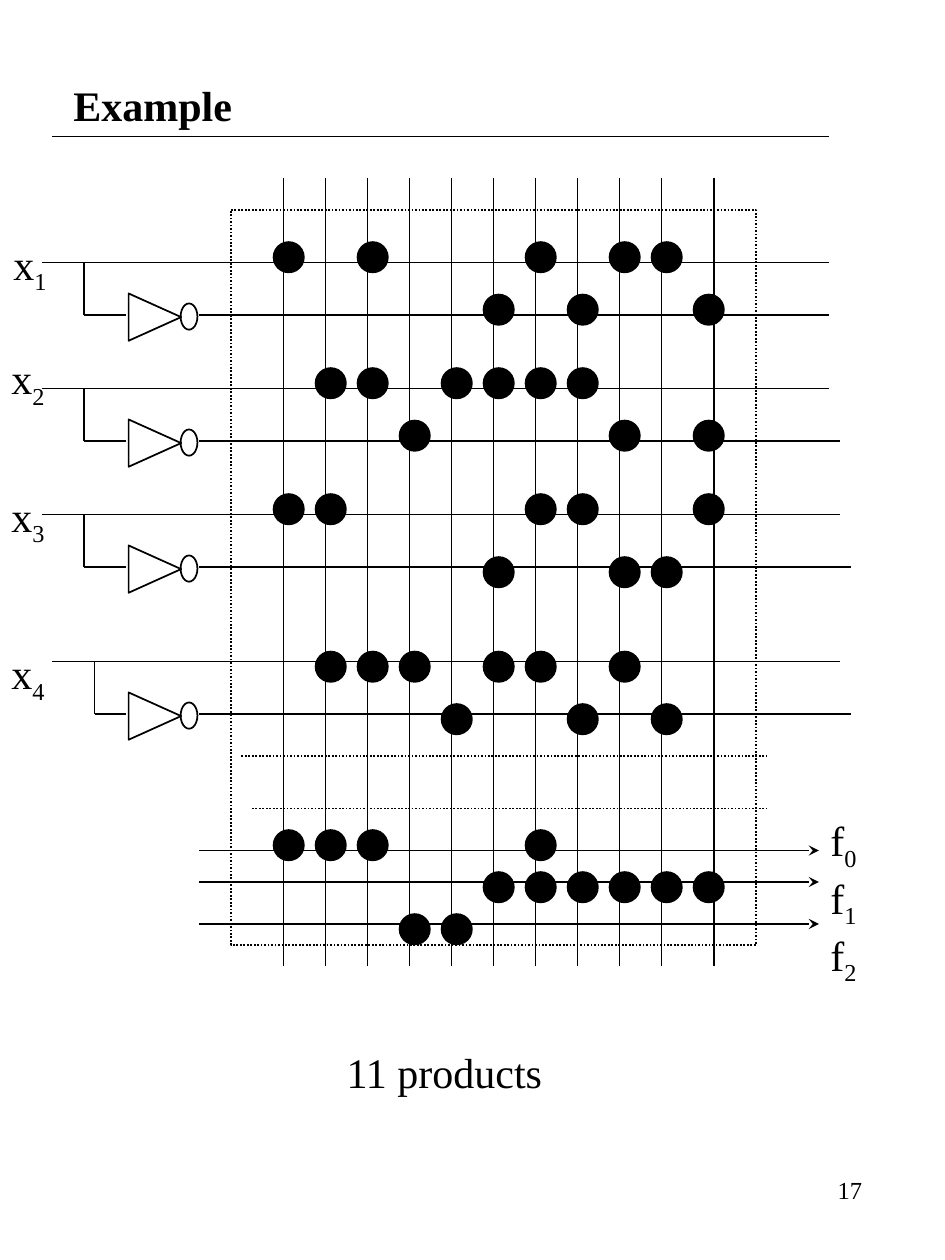
"""Draw a programmable logic array with four inputs, eleven products and three outputs."""
import lxml.etree
import pptx
import pptx.dml.color
import pptx.enum.dml
import pptx.enum.shapes
import pptx.enum.text
import pptx.oxml.ns
import pptx.util

UNIT = pptx.util.Inches(1) // 12
INK, PAPER = "000000", "FFFFFF"
hue = pptx.dml.color.RGBColor.from_string
tag = pptx.oxml.ns.qn
kinds = pptx.enum.shapes.MSO_SHAPE
dots = pptx.enum.dml.MSO_LINE.ROUND_DOT
left, right = pptx.enum.text.PP_ALIGN.LEFT, pptx.enum.text.PP_ALIGN.RIGHT
top, mid = pptx.enum.text.MSO_ANCHOR.TOP, pptx.enum.text.MSO_ANCHOR.MIDDLE

deck = pptx.Presentation()
deck.slide_width, deck.slide_height = 90 * UNIT, 120 * UNIT
slide = deck.slides.add_slide(deck.slide_layouts[6])


def wire(*ends):
    """Join two grid points with a thin line."""
    straight = pptx.enum.shapes.MSO_CONNECTOR.STRAIGHT
    line = slide.shapes.add_connector(straight, *[round(n * UNIT) for n in ends])
    line.line.color.rgb = hue(INK)
    line.line.width = pptx.util.Pt(1)
    lxml.etree.SubElement(line._element.spPr, tag("a:effectLst"))
    return line


def form(pool, kind, box, fill):
    """Add an outlined preset shape at a grid box."""
    shape = pool.add_shape(kind, *[round(n * UNIT) for n in box])
    shape.shadow.inherit = False
    shape.fill.solid()
    shape.fill.fore_color.rgb = hue(fill)
    shape.line.color.rgb = hue(INK)
    shape.line.width = pptx.util.Pt(1)
    return shape


path = slide.shapes.build_freeform(22, 20, scale=UNIT)
path.add_line_segments([(72, 20), (72, 90), (23, 90), (22, 90)], close=True)
frame = path.convert_to_shape()
frame.shadow.inherit = False
frame.fill.background()
frame.line.color.rgb = hue(INK)
frame.line.width = pptx.util.Pt(1)
frame.line.dash_style = dots

wire(5, 13, 79, 13)

inputs = [(25, 4, 70, 79, 71, 79), (37, 4, 71, 79, 72, 80),
          (49, 4, 71, 80, 72, 81), (63, 5, 71, 80, 71, 81)]
for row, start, join, end, low, last in inputs:
    tap = start + 4
    wire(start, row, 71, row)
    wire(join, row, end, row)
    wire(tap, row, tap, row + 5)
    wire(tap, row + 5, 12, row + 5)
    wire(19, row + 5, 72, row + 5)
    wire(low, row + 5, last, row + 5)

for col in [*range(27, 64, 4), 68]:
    wire(col, 17, col, 92)

for row in (81, 84, 88):
    arrow = wire(19, row, 78, row)
    head = lxml.etree.SubElement(arrow.line._get_or_add_ln(), tag("a:tailEnd"))
    head.set("type", "stealth")

for col, row in ((23, 72), (24, 77)):
    wire(col, row, 73, row).line.dash_style = dots

marks = {
    23: (0, 2, 6, 8, 9), 28: (5, 7, 10),
    35: (1, 2, 4, 5, 6, 7), 40: (3, 8, 10),
    47: (0, 1, 6, 7, 10), 53: (5, 8, 9),
    62: (1, 2, 3, 5, 6, 8), 67: (4, 7, 9),
    79: (0, 1, 2, 6), 83: range(5, 11), 87: (3, 4),
}
for row, cols in marks.items():
    for col in cols:
        form(slide.shapes, kinds.OVAL, (26.06 + 4 * col, row + 0.06, 2.88, 2.88), INK)

for row, *rest in inputs:
    gate = slide.shapes.add_group_shape().shapes
    form(gate, kinds.OVAL, (17.2, row + 3.9, 1.6, 2.5), PAPER)
    form(gate, kinds.ISOSCELES_TRIANGLE, (12.5, row + 2.7, 4.5, 5), PAPER).rotation = 90

texts = [((5.8, 0, 76.5, 20), [("Example", "")], 24, True, mid, left, True, 1.2)]
for num, (col, row) in enumerate([(0.1, 22.1), (-0.1, 33), (-0.1, 46.1), (-0.1, 61.1)], 1):
    texts.append(((col, row, 5.6, 6.7), [("x", str(num))], 24, False, top, left, False, 1.2))
texts += [
    ((77.9, 77, 4.9, 17.6), [("f", str(num)) for num in range(3)], 24, False, top, left, False, 1.2),
    ((64.6, 109.3, 18.7, 8), [("17", "")], 14, False, mid, right, True, 1.2),
    ((5.8, 99.1, 74.3, 11.9), [("11 products", "")], 24, False, top, left, True, 27.2),
]
for box, lines, size, bold, anchor, align, wrap, inset in texts:
    frame = slide.shapes.add_textbox(*[round(n * UNIT) for n in box]).text_frame
    frame.word_wrap = wrap
    frame.vertical_anchor = anchor
    frame.margin_left = round(inset * UNIT)
    for num, parts in enumerate(lines):
        para = frame.add_paragraph() if num else frame.paragraphs[0]
        para.alignment = align
        if inset > 2:
            para.space_before = pptx.util.Pt(6)
        for place, part in enumerate(parts):
            if part:
                run = para.add_run()
                run.text = part
                run.font.name = "Times New Roman"
                run.font.size = pptx.util.Pt(size)
                run.font.bold = bold
                run.font.color.rgb = hue(INK)
                if place:
                    run._r.get_or_add_rPr().set("baseline", "-25000")

deck.save("out.pptx")
